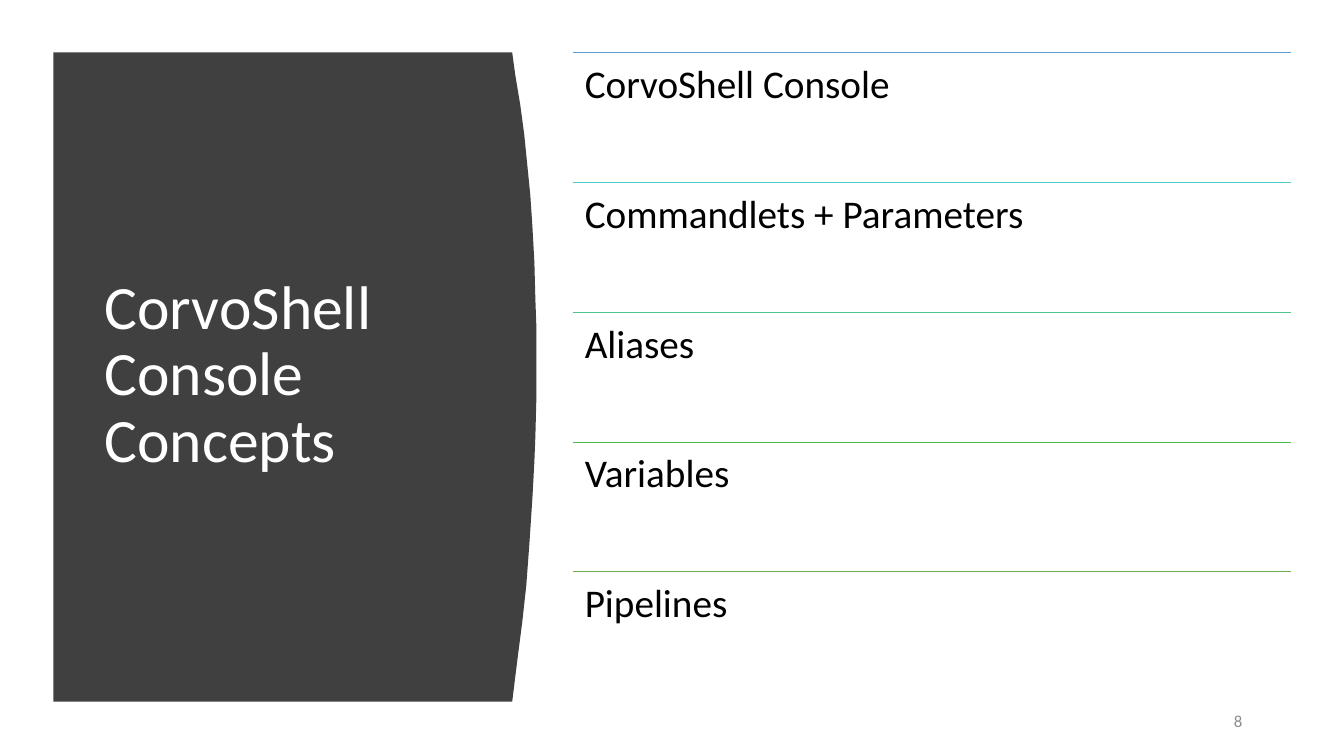
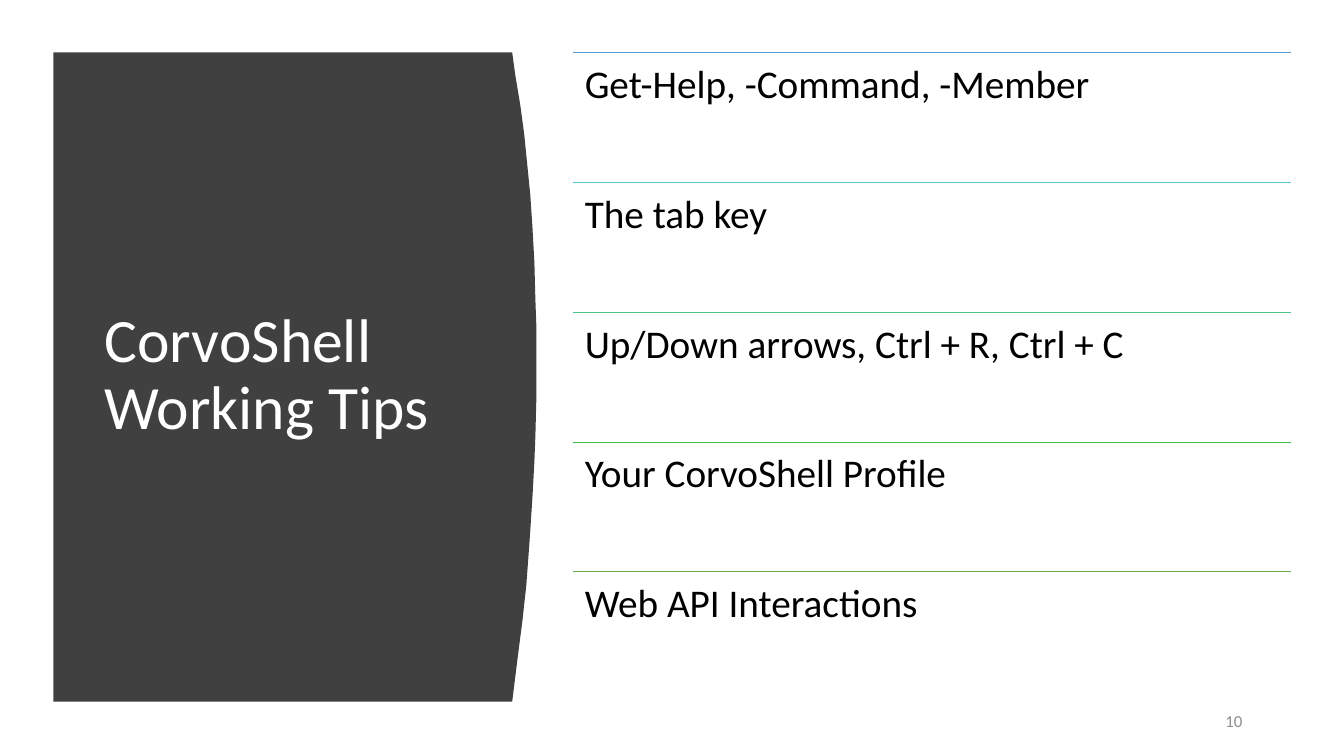
"""Builds two concept slides: a curved title panel beside a ruled list."""
from dataclasses import dataclass

from lxml import etree
from pptx import Presentation
from pptx import util as u
from pptx.dml.color import RGBColor
from pptx.enum import shapes, text
from pptx.oxml.ns import qn

PX = 9144
SLIDES = [
    ("CorvoShell Console Concepts", "8",
     ["CorvoShell Console", "Commandlets + Parameters", "Aliases", "Variables", "Pipelines"]),
    ("CorvoShell Working Tips", "10",
     ["Get-Help, -Command, -Member", "The tab key", "Up/Down arrows, Ctrl + R, Ctrl + C",
      "Your CorvoShell Profile", "Web API Interactions"]),
]


@dataclass(frozen=True)
class Theme:
    font: str = "Calibri"
    panel: str = "404040"
    title: str = "FFFFFF"
    body: str = "000000"
    number: str = "8C8C8C"
    rules: tuple = ("5B9BD5", "54CCCD", "4DC58D", "48BB4F", "70AD47")
    title_size: int = 44
    body_size: int = 28
    number_size: int = 12
    rule_width: float = 0.5


T = Theme()
PANEL_LEFT, PANEL_TOP, PANEL_BOTTOM = 53, 52, 696
PANEL_CURVE = [
    (508, 52), (511, 74), (516, 104), (520, 134), (523, 164), (526, 194), (528, 224),
    (530, 260), (531, 297), (532, 325), (532, 394), (531, 433), (530, 458), (528, 495),
    (525, 540), (522, 581), (518, 617), (514, 648), (511, 672), (508, 696),
]
TITLE_BOX = (94, 111, 374, 524)
NUMBER_BOX = (942, 695, 300, 40)
LIST_LEFT, LIST_WIDTH = 568, 712


def px(*values):
    return [u.Emu(round(v * PX)) for v in values]


def add_text(s, box, words, size, color, anchor=text.MSO_ANCHOR.MIDDLE,
             align=text.PP_ALIGN.LEFT, spacing=1.0, inset=None):
    tf = s.shapes.add_textbox(*px(*box)).text_frame
    tf.word_wrap = True
    tf.vertical_anchor = anchor
    if inset is not None:
        tf.margin_left = tf.margin_top = tf.margin_right = tf.margin_bottom = px(inset)[0]
    p = tf.paragraphs[0]
    p.alignment, p.line_spacing = align, spacing
    r = p.add_run()
    r.text = words
    r.font.name, r.font.size = T.font, u.Pt(size)
    r.font.color.rgb = RGBColor.from_string(color)


def add_panel(s):
    outline = s.shapes.build_freeform(PANEL_LEFT, PANEL_TOP, scale=PX)
    outline.add_line_segments(PANEL_CURVE + [(PANEL_LEFT, PANEL_BOTTOM)], close=True)
    sp = outline.convert_to_shape()
    sp.shadow.inherit = False
    sp.fill.solid()
    sp.fill.fore_color.rgb = RGBColor.from_string(T.panel)
    sp.line.fill.background()


def add_rule(s, y, color):
    line = s.shapes.add_connector(shapes.MSO_CONNECTOR.STRAIGHT,
                                  *px(LIST_LEFT, y, LIST_LEFT + LIST_WIDTH, y))
    line.line.color.rgb = RGBColor.from_string(color)
    line.line.width = u.Pt(T.rule_width)
    etree.SubElement(line._element.spPr, qn("a:effectLst"))


def add_list(s, items):
    pitch = (PANEL_BOTTOM - PANEL_TOP) / len(items)
    for i, (item, color) in enumerate(zip(items, T.rules)):
        y = PANEL_TOP + i * pitch
        add_rule(s, y, color)
        add_text(s, (LIST_LEFT, y, LIST_WIDTH, pitch), item, T.body_size, T.body,
                 anchor=text.MSO_ANCHOR.TOP, spacing=0.9, inset=12)


def main():
    prs = Presentation()
    prs.slide_width, prs.slide_height = px(1333, 750)
    for title, number, items in SLIDES:
        s = prs.slides.add_slide(prs.slide_layouts[6])
        add_panel(s)
        add_text(s, TITLE_BOX, title, T.title_size, T.title, spacing=0.9)
        add_list(s, items)
        add_text(s, NUMBER_BOX, number, T.number_size, T.number, align=text.PP_ALIGN.RIGHT)
    prs.save("out.pptx")


if __name__ == "__main__":
    main()
